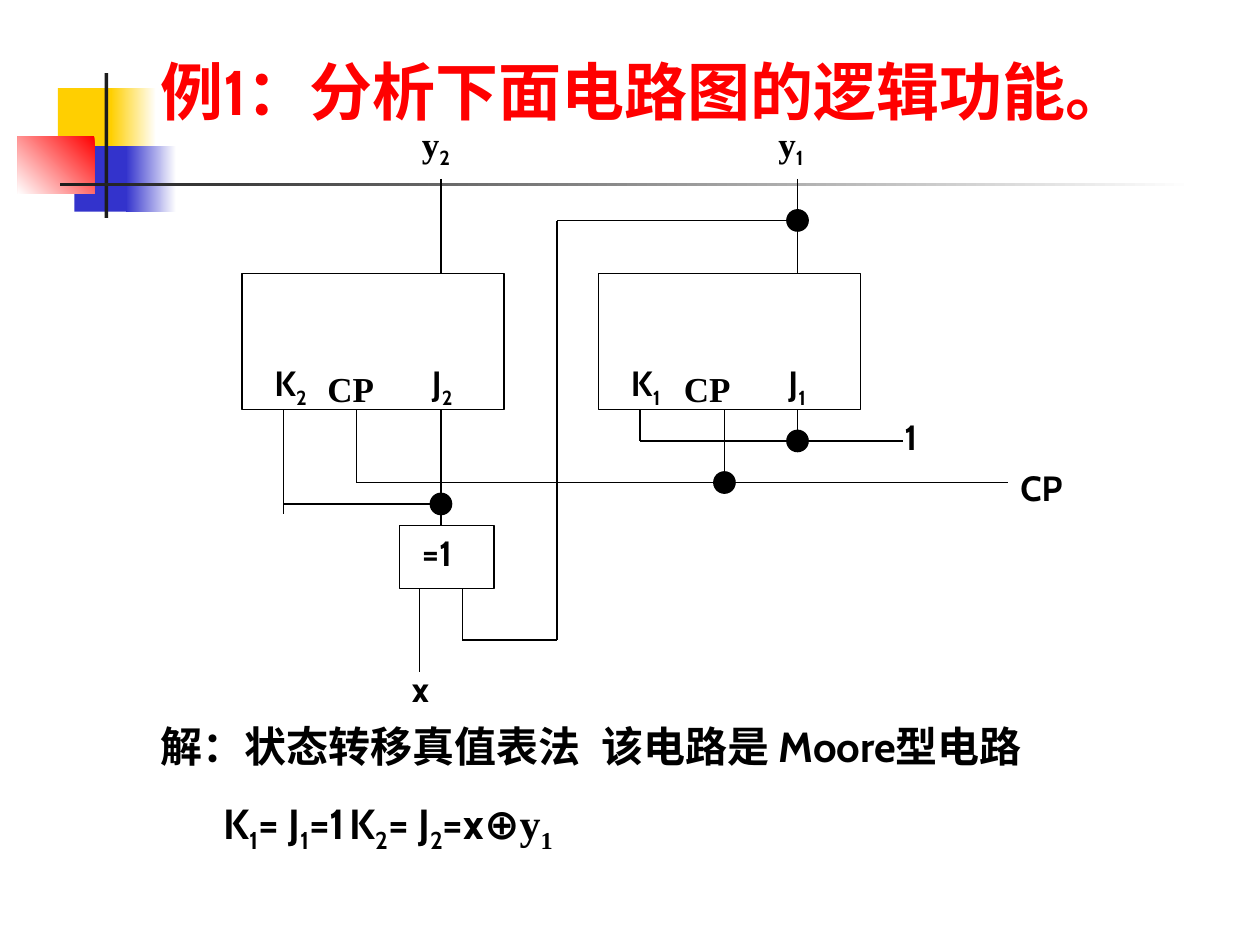
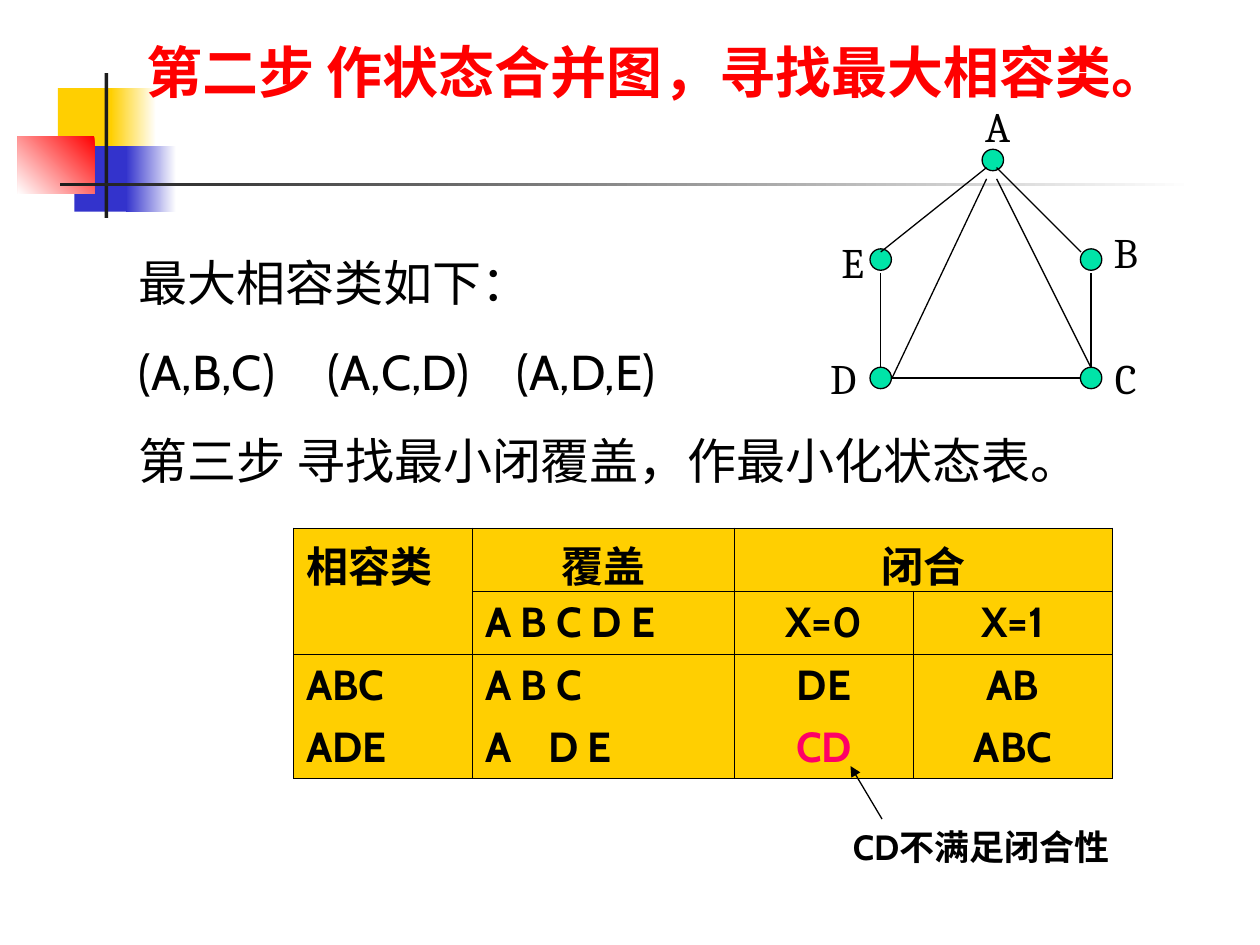
from itertools import pairwise

from lxml.etree import SubElement
from pptx import Presentation
from pptx.dml.color import RGBColor
from pptx.enum.shapes import MSO_CONNECTOR, MSO_SHAPE
from pptx.enum.text import MSO_ANCHOR, MSO_AUTO_SIZE, PP_ALIGN
from pptx.oxml.ns import qn
from pptx.util import Inches, Pt

COLORS = {
    "black": "000000", "white": "FFFFFF", "red": "FF0000", "yellow": "FFCF01",
    "blue": "3333CC", "dark": "1C1C1C", "mint": "00E4A8", "pink": "FF0066",
}
SANS, SERIF, NODE_FONT = "Cabin", "Times New Roman", "Cambria"
LINE_WIDTH = 0.75


def rgb(name):
    """Return the palette colour of that name."""
    return RGBColor.from_string(COLORS[name])


def add_run(p, text, size, font, color, bold, sub=False):
    """Add one formatted run, lowered when it is a subscript."""
    if not text:
        return
    r = p.add_run()
    r.text = text
    r.font.size, r.font.name, r.font.bold = Pt(size), font, bold
    r.font.color.rgb = rgb(color)
    if sub:
        r._r.get_or_add_rPr().set("baseline", "-25000")


def write(tf, paragraphs, size=20, font=SANS, color="black", bold=True,
          before=0, align=PP_ALIGN.LEFT, tabs=()):
    """Fill a frame; a paragraph is text or (text, changes) runs, _ lowers the next character."""
    for i, runs in enumerate(paragraphs):
        p = tf.paragraphs[0] if i == 0 else tf.add_paragraph()
        p.alignment, p.space_before = align, Pt(before if i else 0)
        pPr = p._p.get_or_add_pPr()
        pPr.set("marL", "0")
        pPr.set("indent", "0")
        SubElement(pPr, qn("a:buNone"))
        if tabs:
            stops = SubElement(pPr, qn("a:tabLst"))
            for stop in tabs:
                SubElement(stops, qn("a:tab"), pos=str(Inches(stop)), algn="l")
        for text, changes in [(runs, {})] if isinstance(runs, str) else runs:
            fmt = {"size": size, "font": font, "color": color, "bold": bold} | changes
            head, *rest = text.split("_")
            add_run(p, head, **fmt)
            for piece in rest:
                add_run(p, piece[0], sub=True, **fmt)
                add_run(p, piece[1:], **fmt)


def add_label(s, x, y, text, w=0.83, h=0.44, **fmt):
    """Add a one-paragraph text box."""
    tf = s.shapes.add_textbox(Inches(x), Inches(y), Inches(w), Inches(h)).text_frame
    tf.word_wrap = True
    write(tf, [text], **fmt)
    return tf


def fill_placeholder(ph, box, paragraphs, anchor=MSO_ANCHOR.TOP, **fmt):
    """Move a placeholder to its box and write into it."""
    ph.left, ph.top, ph.width, ph.height = map(Inches, box)
    tf = ph.text_frame
    tf.word_wrap, tf.auto_size, tf.vertical_anchor = True, MSO_AUTO_SIZE.NONE, anchor
    write(tf, paragraphs, **fmt)


def add_box(s, x, y, w, h, kind=MSO_SHAPE.RECTANGLE, fill=None, line="black"):
    """Add a preset shape with an optional fill and outline."""
    sp = s.shapes.add_shape(kind, Inches(x), Inches(y), Inches(w), Inches(h))
    sp.shadow.inherit = False
    if fill:
        sp.fill.solid()
        sp.fill.fore_color.rgb = rgb(fill)
    else:
        sp.fill.background()
    if line:
        sp.line.color.rgb, sp.line.width = rgb(line), Pt(LINE_WIDTH)
    else:
        sp.line.fill.background()
    return sp


def add_dot(s, x, y, fill, size=0.17):
    """Add a round dot centred on a point."""
    add_box(s, x - size / 2, y - size / 2, size, size, MSO_SHAPE.OVAL, fill)


def add_path(s, x, y, *points, arrow=False):
    """Join successive points, given relative to x and y, by straight lines."""
    for (x1, y1), (x2, y2) in pairwise(points):
        ends = map(Inches, (x + x1, y + y1, x + x2, y + y2))
        c = s.shapes.add_connector(MSO_CONNECTOR.STRAIGHT, *ends)
        c.line.color.rgb, c.line.width = rgb("black"), Pt(LINE_WIDTH)
        SubElement(c.element.spPr, qn("a:effectLst"))
        if arrow:
            SubElement(c.line._get_or_add_ln(), qn("a:tailEnd"), type="triangle")


def add_master_band(prs, s, x, y):
    """Draw the coloured squares and rules, then move them to the slide master."""
    parts = [
        (0.32, 0.12, 0.48, 0.52, "yellow", None, 0),
        (0.74, 0.12, 0.36, 0.52, "white", "yellow", 180),
        (0.45, 0.58, 0.46, 0.52, "blue", None, 0),
        (0.86, 0.58, 0.4, 0.52, "white", "blue", 180),
        (0, 0.5, 0.61, 0.46, "red", "white", 225),
        (0.69, 0, 0.03, 1.15, "dark", None, 0),
        (0.34, 0.87, 9, 0.03, "white", "dark", 180),
    ]
    tree = prs.slide_master.shapes.element
    for i, (dx, dy, w, h, start, end, angle) in enumerate(parts):
        sp = add_box(s, x + dx, y + dy, w, h, fill=start, line=None)
        if end:
            sp.fill.gradient()
            sp.fill.gradient_angle = angle
            for stop, name in zip(sp.fill.gradient_stops, (start, end)):
                stop.color.rgb = rgb(name)
        sp.element.nvSpPr.cNvPr.id = 100 + i
        tree.insert(2 + i, sp.element)


def add_flip_flop(s, x, y, n):
    """Draw JK flip-flop n with its output line and pin labels."""
    add_box(s, x, y, 2.08, 1.08)
    add_path(s, x, y, (1.58, -0.75), (1.58, 0))
    add_label(s, x + 1.33, y - 1.25, [("y", {"font": SERIF}), (f"_{n}", {})])
    add_label(s, x + 0.16, y + 0.65, f"K_{n}")
    add_label(s, x + 1.41, y + 0.65, f"J_{n}")
    tf = add_label(s, x + 0.58, y + 0.75, "CP", h=0.33, font=SERIF)
    tf.margin_top = tf.margin_bottom = 0
    tf.vertical_anchor = MSO_ANCHOR.MIDDLE


def add_circuit(s, x, y):
    """Draw the two flip-flops, the XOR gate and their wiring."""
    add_flip_flop(s, x, y + 1.25, 2)
    add_flip_flop(s, x + 2.83, y + 1.25, 1)
    add_box(s, x + 1.25, y + 3.25, 0.75, 0.5)
    wires = [
        [(0.91, 2.33), (0.91, 2.91), (6.08, 2.91)],
        [(3.83, 2.33), (3.83, 2.91)],
        [(1.58, 2.33), (1.58, 3.25)],
        [(4.41, 0.83), (2.5, 0.83), (2.5, 4.16), (1.75, 4.16), (1.75, 3.75)],
        [(1.41, 3.75), (1.41, 4.41)],
        [(0.33, 2.33), (0.33, 3.16)],
        [(0.33, 3.08), (1.58, 3.08)],
        [(3.16, 2.33), (3.16, 2.58), (5.25, 2.58)],
        [(4.41, 2.33), (4.41, 2.58)],
    ]
    for points in wires:
        add_path(s, x, y, *points)
    for dx, dy in [(4.41, 2.58), (1.58, 3.08), (3.83, 2.91), (4.41, 0.83)]:
        add_dot(s, x + dx, y + dy, "black")
    for text, dx, dy in [("=1", 1.33, 3.25), ("x", 1.25, 4.33),
                         ("CP", 6.08, 2.73), ("1", 5.16, 2.33)]:
        add_label(s, x + dx, y + dy, text)


def add_merge_graph(s, x, y):
    """Draw the state merging graph: nodes, names and edges."""
    nodes = {
        "A": (1.39, 0.52, 1.23, 0), "B": (2.17, 1.31, 2.25, 1),
        "C": (2.17, 2.25, 2.26, 2), "D": (0.5, 2.25, 0, 2),
        "E": (0.5, 1.31, 0.09, 1.08),
    }
    for name, (cx, cy, dx, dy) in nodes.items():
        add_dot(s, x + cx, y + cy, "mint")
        add_label(s, x + dx, y + dy, name, w=0.43, h=0.5, size=24,
                  font=NODE_FONT, bold=False)
    edges = [
        [(1.42, 0.58), (2.09, 1.25)],
        [(1.42, 0.67), (2.17, 2.17)],
        [(1.34, 0.67), (0.59, 2.25)],
        [(2.17, 1.42), (2.17, 2.17)],
        [(0.59, 2.25), (2.09, 2.25)],
        [(0.5, 1.42), (0.5, 2.17)],
        [(1.34, 0.58), (0.5, 1.25)],
    ]
    for points in edges:
        add_path(s, x, y, *points)


def style_cell(cell):
    """Give a cell thin black borders and a yellow fill."""
    tcPr = cell._tc.get_or_add_tcPr()
    for side in ("lnL", "lnR", "lnT", "lnB"):
        ln = SubElement(tcPr, qn(f"a:{side}"), w=str(Pt(0.45)))
        fill = SubElement(ln, qn("a:solidFill"))
        SubElement(fill, qn("a:srgbClr"), val=COLORS["black"])
    cell.fill.solid()
    cell.fill.fore_color.rgb = rgb("yellow")


def add_cover_table(s, x, y):
    """Add the table of cover and closure, with the note under it."""
    widths, heights = (1.42, 2.08, 1.42, 1.58), (0.5, 0.5, 0.99)
    rows = [
        [["相容类"], ["覆盖"], ["闭合"], []],
        [[], ["A B C D E"], ["X=0"], ["X=1"]],
        [["ABC", "ADE"], ["A B C", "A\tD E"],
         ["DE", [("CD", {"color": "pink"})]], ["AB", "ABC"]],
    ]
    table = s.shapes.add_table(3, 4, Inches(x), Inches(y), Inches(sum(widths)),
                               Inches(sum(heights))).table
    table.first_row = table.horz_banding = False
    for col, w in zip(table.columns, widths):
        col.width = Inches(w)
    for row, h in zip(table.rows, heights):
        row.height = Inches(h)
    table.cell(0, 0).merge(table.cell(1, 0))
    table.cell(0, 2).merge(table.cell(0, 3))
    for i, row in enumerate(rows):
        for j, paragraphs in enumerate(row):
            cell = table.cell(i, j)
            style_cell(cell)
            centred = j > 1 or (i, j) == (0, 1)
            write(cell.text_frame, paragraphs, size=24, before=6, tabs=(0.74,),
                  align=PP_ALIGN.CENTER if centred else PP_ALIGN.LEFT)
    add_label(s, x + 4.34, y + 2.31, "CD不满足闭合性", w=3)
    add_path(s, x, y, (4.67, 2.31), (4.42, 1.89), arrow=True)


def build_circuit_slide(s):
    """Build the slide of the circuit example."""
    fill_placeholder(s.shapes.title, (1.17, 0.17, 8.25, 0.9),
                     ["例1：分析下面电路图的逻辑功能。"],
                     anchor=MSO_ANCHOR.BOTTOM, size=36, color="red")
    add_circuit(s, 1.92, 0.92)
    fill_placeholder(s.placeholders[1], (1.17, 5.67, 7.75, 1.17), [
        "解：状态转移真值表法\t该电路是 Moore型电路",
        [("\tK_1= J_1=1\tK_2= J_2=x⊕", {}), ("y_1", {"font": SERIF})],
    ], size=24, before=15, tabs=(0.08, 1.65, 3.87))


def build_merge_slide(s):
    """Build the slide of the merging graph and the cover table."""
    fill_placeholder(s.shapes.title, (1.06, 0.25, 8.69, 0.75),
                     ["第二步 作状态合并图，寻找最大相容类。"], size=32, color="red")
    fill_placeholder(s.placeholders[1], (1, 1.95, 8.67, 1.99), [
        "最大相容类如下：",
        "(A,B,C)\t(A,C,D)\t(A,D,E)",
        "第三步 寻找最小闭覆盖，作最小化状态表。",
    ], size=28, bold=False, before=17.5, tabs=(1.33, 2.62))
    add_merge_graph(s, 6.49, 0.75)
    add_cover_table(s, 2.33, 4.19)


def main():
    """Build and save the presentation."""
    prs = Presentation()
    prs.slide_width, prs.slide_height = Inches(10), Inches(7.5)
    layout = prs.slide_layouts[1]
    for i, build in enumerate((build_circuit_slide, build_merge_slide)):
        s = prs.slides.add_slide(layout)
        if i == 0:
            add_master_band(prs, s, 0.14, 0.58)
        build(s)
    prs.save("out.pptx")


if __name__ == "__main__":
    main()
